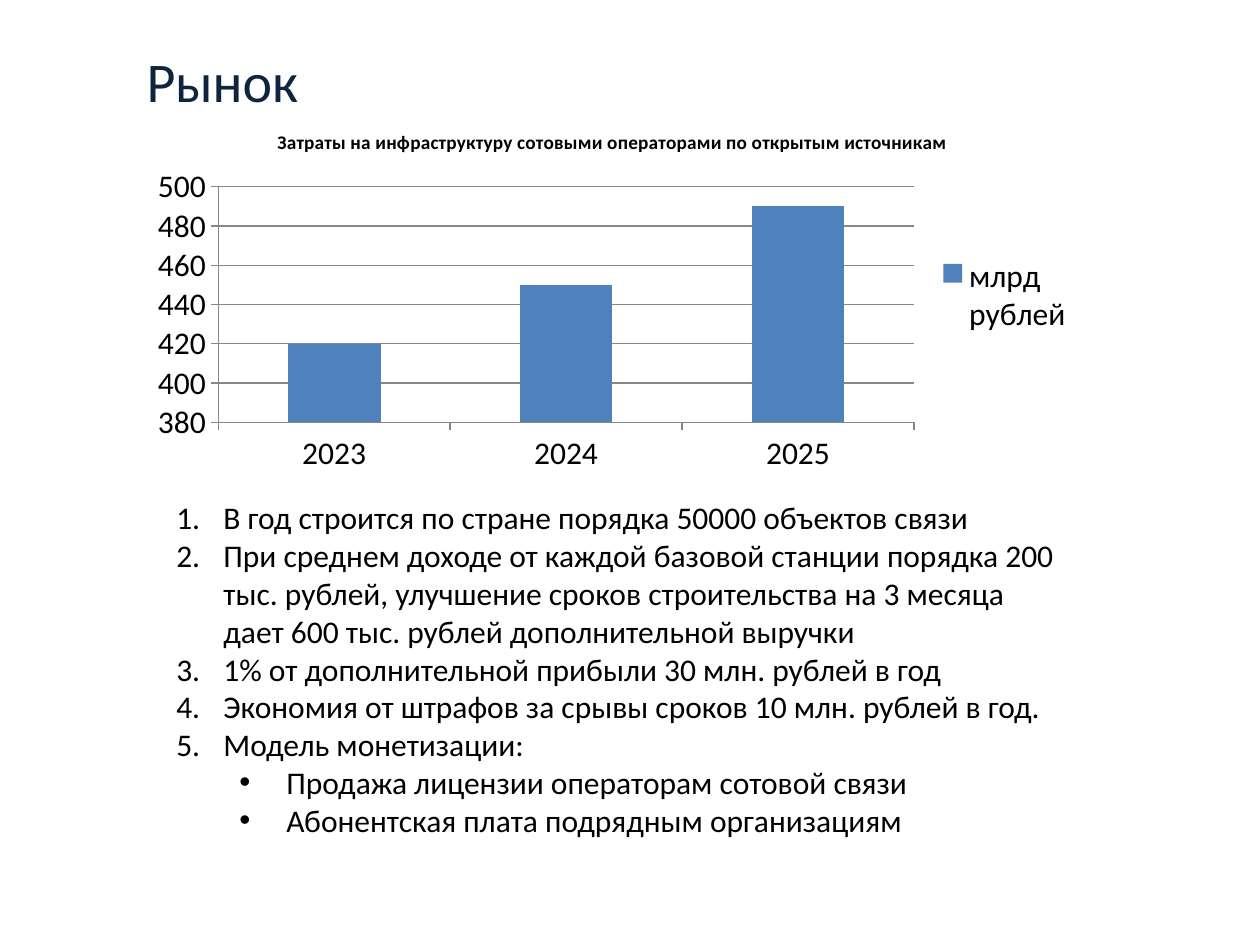
from lxml import etree
from pptx import Presentation
from pptx.chart.data import CategoryChartData
from pptx.dml.color import RGBColor
from pptx.enum import chart as ch, text
from pptx.oxml.ns import qn
from pptx.util import Cm, Pt

COLORS = {"title": "0F243E", "text": "000000", "bar": "4F81BD", "grid": "878787"}
FONT = "Calibri"

MARKET_POINTS = [
    (0, "В год строится по стране порядка 50000 объектов связи"),
    (0, "При среднем доходе от каждой базовой станции порядка 200 тыс. рублей, "
        "улучшение сроков строительства на 3 месяца дает 600 тыс. рублей "
        "дополнительной выручки"),
    (0, "1% от дополнительной прибыли 30 млн. рублей в год"),
    (0, "Экономия от штрафов за срывы сроков 10 млн. рублей в год."),
    (0, "Модель монетизации:"),
    (1, "Продажа лицензии операторам сотовой связи"),
    (1, "Абонентская плата подрядным организациям"),
]


class Deck:
    """Holds the style and the current slide."""

    def __init__(self, width, height):
        self.prs = Presentation()
        self.prs.slide_width, self.prs.slide_height = Cm(width), Cm(height)
        self.s = self.prs.slides.add_slide(self.prs.slide_layouts[1])

    def format(self, font, size, color="text", bold=False):
        for name, value in {"name": FONT, "size": Pt(size), "bold": bold}.items():
            setattr(font, name, value)
        font.color.rgb = RGBColor.from_string(COLORS[color])

    def place(self, sp, box, wrap=True):
        for name, value in zip(("left", "top", "width", "height"), box):
            setattr(sp, name, Cm(value))
        tf = sp.text_frame
        settings = {"word_wrap": wrap, "auto_size": text.MSO_AUTO_SIZE.NONE,
                    "vertical_anchor": text.MSO_ANCHOR.TOP}
        for name, value in settings.items():
            setattr(tf, name, value)
        return tf

    def title(self, words, box):
        p = self.place(self.s.shapes.title, box, wrap=False).paragraphs[0]
        p.alignment = text.PP_ALIGN.LEFT
        r = p.add_run()
        r.text = words
        self.format(r.font, 32, "title")

    def bullet(self, p, level):
        pPr = p._p.get_or_add_pPr()
        indent = Cm(0.95)
        pPr.set("marL", str(indent + level * Cm(1.27)))
        pPr.set("indent", str(-indent))
        if level:
            etree.SubElement(pPr, qn("a:buFont"), typeface="Arial")
            etree.SubElement(pPr, qn("a:buChar"), char="•")
        else:
            etree.SubElement(pPr, qn("a:buFont"), typeface="+mj-lt")
            etree.SubElement(pPr, qn("a:buAutoNum"), type="arabicPeriod")

    def items(self, entries, box):
        tf = self.place(self.s.placeholders[1], box)
        for i, (level, words) in enumerate(entries):
            p = tf.add_paragraph() if i else tf.paragraphs[0]
            p.level, p.space_before = level, Pt(0)
            self.bullet(p, level)
            r = p.add_run()
            r.text = words
            self.format(r.font, 18)

    def line(self, fmt):
        fmt.line.color.rgb = RGBColor.from_string(COLORS["grid"])
        fmt.line.width = Pt(0.75)

    def columns(self, heading, name, values, scale, box):
        data = CategoryChartData()
        data.categories = list(values)
        data.add_series(name, values.values())
        chart = self.s.shapes.add_chart(
            ch.XL_CHART_TYPE.COLUMN_STACKED, *map(Cm, box), data).chart
        self.format(chart.font, 18)

        # Heading and legend
        chart.has_title = True
        r = chart.chart_title.text_frame.paragraphs[0].add_run()
        r.text = heading
        self.format(r.font, 11, bold=True)
        chart.has_legend = True
        chart.legend.position = ch.XL_LEGEND_POSITION.RIGHT
        chart.legend.include_in_layout = False

        # Axes
        axis = chart.value_axis
        for key, value in zip(("minimum_scale", "maximum_scale", "major_unit"), scale):
            setattr(axis, key, value)
        axis.has_major_gridlines = True
        self.line(axis.major_gridlines.format)
        for ax in (axis, chart.category_axis):
            ax.major_tick_mark = ch.XL_TICK_MARK.OUTSIDE
            self.line(ax.format)

        # Bars
        plot = chart.plots[0]
        for key, value in {"gap_width": 150, "overlap": 100,
                           "vary_by_categories": False}.items():
            setattr(plot, key, value)
        fill = plot.series[0].format.fill
        fill.solid()
        fill.fore_color.rgb = RGBColor.from_string(COLORS["bar"])


def main():
    deck = Deck(25.4, 19.05)
    deck.title("Рынок", (2.7, 0.82, 3.6, 1.62))
    deck.items(MARKET_POINTS, (3.3, 9.92, 18.3, 7.95))
    deck.columns("Затраты на инфраструктуру сотовыми операторами по открытым источникам",
                 "млрд \nрублей", {"2023": 420, "2024": 450, "2025": 490},
                 (380, 500, 20), (2.8, 2.24, 19.1, 7.44))
    deck.prs.save("out.pptx")


if __name__ == "__main__":
    main()
